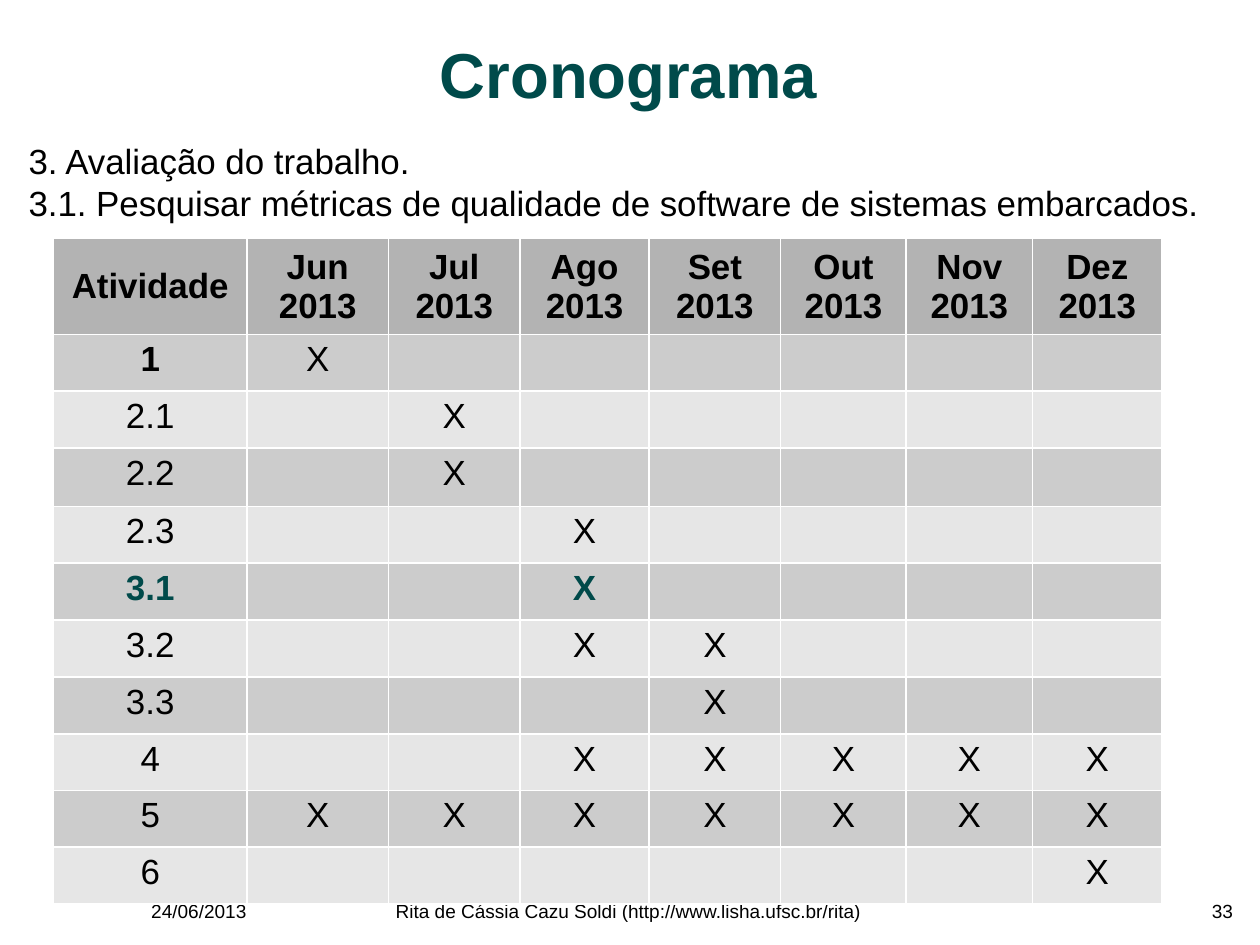
"""Builds the project schedule slide with its table of activities by month."""
import pptx
import pptx.util
import pptx.dml.color
import pptx.enum.text
import pptx.oxml

Pt = pptx.util.Pt
ALIGN = pptx.enum.text.PP_ALIGN
ANCHOR = pptx.enum.text.MSO_ANCHOR
NS = "http://schemas.openxmlformats.org/drawingml/2006/main"
TEAL = "004A4A"


def hue(code):
    """Turn a hex string into a colour."""
    return pptx.dml.color.RGBColor.from_string(code)


def write(frame, text, size=22, color="000000", bold=False,
          align=ALIGN.CENTER, line=None):
    """Fill a text frame, one paragraph for each line of text."""
    for i, words in enumerate(text.split("\n")):
        para = frame.paragraphs[0] if i == 0 else frame.add_paragraph()
        para.alignment = align
        if line:
            para.line_spacing = line
        run = para.add_run()
        run.text = words
        run.font.name = "Arial"
        run.font.size = Pt(size)
        run.font.bold = bold
        run.font.color.rgb = hue(color)


deck = pptx.Presentation()
deck.slide_width, deck.slide_height = Pt(793.75), Pt(595.25)
slide = deck.slides.add_slide(deck.slide_layouts[6])

small = {"size": 12}
texts = [
    (20.2, 566.6, 210.2, 15.1, "24/06/2013", small),
    (566.6, 566.6, 210.2, 15.1, "33", {"size": 12, "align": ALIGN.RIGHT}),
    (180, 566.6, 432, 15.1,
     "Rita de Cássia Cazu Soldi (http://www.lisha.ufsc.br/rita)", small),
    (91.4, 13, 609.1, 74.9, "Cronograma",
     {"size": 40, "color": TEAL, "bold": True, "line": 0.8}),
    (18, 87.8, 756, 54.7,
     "3. Avaliação do trabalho.\n"
     "3.1. Pesquisar métricas de qualidade de software de sistemas embarcados.",
     {"align": ALIGN.LEFT}),
]
for left, top, width, height, text, style in texts:
    box = slide.shapes.add_textbox(Pt(left), Pt(top), Pt(width), Pt(height))
    frame = box.text_frame
    frame.word_wrap = True
    frame.margin_left = frame.margin_right = 0
    frame.margin_top = frame.margin_bottom = 0
    if text == "Cronograma":
        frame.vertical_anchor = ANCHOR.MIDDLE
    write(frame, text, **style)

months = ["Jun", "Jul", "Ago", "Set", "Out", "Nov", "Dez"]
plan = {
    "1": ["Jun"],
    "2.1": ["Jul"],
    "2.2": ["Jul"],
    "2.3": ["Ago"],
    "3.1": ["Ago"],
    "3.2": ["Ago", "Set"],
    "3.3": ["Set"],
    "4": months[2:],
    "5": months,
    "6": ["Dez"],
}
rows = [["Atividade"] + [f"{month}\n2013" for month in months]]
for task, marks in plan.items():
    rows.append([task] + ["X" if month in marks else "" for month in months])

widths = [121.7, 89.3, 82.8, 81.4, 82.8, 79.2, 79.4, 81.8]
heights = [60.5] + [35.8] * len(plan)
heights[3] = 36.8
grid = slide.shapes.add_table(len(rows), len(widths), Pt(33.8), Pt(150.2),
                              Pt(sum(widths)), Pt(sum(heights))).table
grid.horz_banding = False
for col, width in zip(grid.columns, widths):
    col.width = Pt(width)

for r, row in enumerate(rows):
    grid.rows[r].height = Pt(heights[r])
    for c, text in enumerate(row):
        cell = grid.cell(r, c)
        cell.margin_left = cell.margin_right = Pt(2.9)
        cell.margin_top = cell.margin_bottom = Pt(3.6)
        cell.vertical_anchor = ANCHOR.TOP if r else ANCHOR.MIDDLE
        props = cell._tc.get_or_add_tcPr()
        for side in "LRTB":
            props.append(pptx.oxml.parse_xml(
                f'<a:ln{side} xmlns:a="{NS}" w="{Pt(1.19)}"><a:solidFill>'
                f'<a:srgbClr val="FFFFFF"/></a:solidFill></a:ln{side}>'))
        cell.fill.solid()
        shade = "B3B3B3" if r == 0 else "CCCCCC" if r % 2 else "E6E6E6"
        cell.fill.fore_color.rgb = hue(shade)
        if text:
            focus = row[0] == "3.1"
            write(cell.text_frame, text, color=TEAL if focus else "000000",
                  bold=r == 0 or focus or text == "1")

deck.save("out.pptx")
